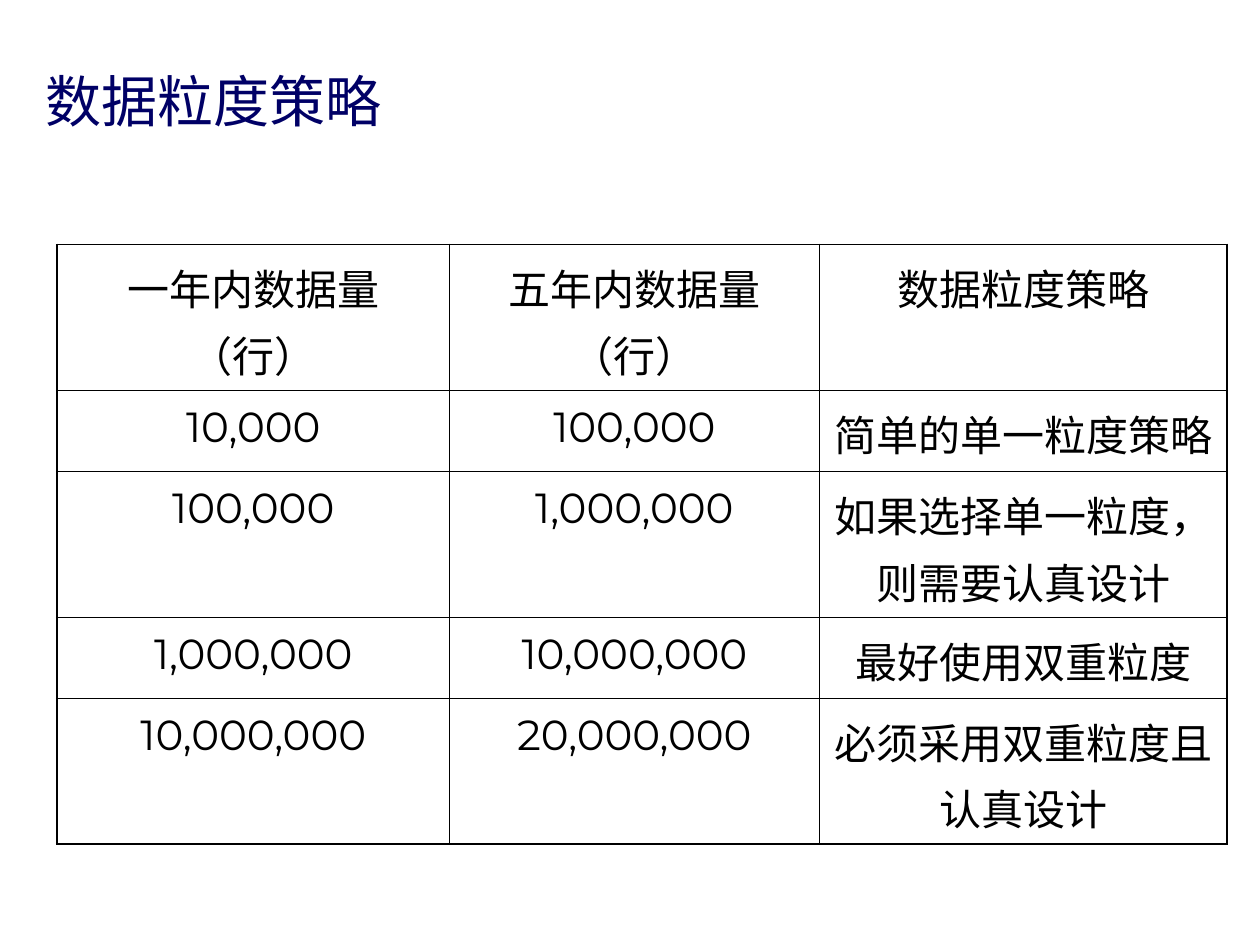
from lxml import etree
from pptx import Presentation
from pptx.dml.color import RGBColor
from pptx.enum.text import MSO_ANCHOR, PP_ALIGN
from pptx.oxml.ns import qn
from pptx.util import Inches, Pt

BOTTOM, TOP = MSO_ANCHOR.BOTTOM, MSO_ANCHOR.TOP
LEFT, CENTER = PP_ALIGN.LEFT, PP_ALIGN.CENTER
NAVY = RGBColor(0x00, 0x00, 0x66)
BLACK = RGBColor(0x00, 0x00, 0x00)
FONT = "Montserrat"
WIDTH, HEIGHT = Inches(10), Inches(7.5)
OUTER, INNER = Pt(1.08), Pt(0.45)

TITLE = "数据粒度策略"
TITLE_BOX = (0.26, 0.53, 9.42, 0.58)
TABLE_BOX = (0.45, 1.94, 9.29, 4.76)
COLUMN_SHARES = (3.12, 2.93, 3.24)
ONE_LINE, TWO_LINES = 0.64, 1.16
ROW_SHARES = (TWO_LINES, ONE_LINE, TWO_LINES, ONE_LINE, TWO_LINES)
ROWS = (
    ("一年内数据量（行）", "五年内数据量（行）", "数据粒度策略"),
    ("10,000", "100,000", "简单的单一粒度策略"),
    ("100,000", "1,000,000", "如果选择单一粒度，则需要认真设计"),
    ("1,000,000", "10,000,000", "最好使用双重粒度"),
    ("10,000,000", "20,000,000", "必须采用双重粒度且认真设计"),
)


def apply(target, values):
    """Set each attribute named in a dict of format values."""
    for name, value in values.items():
        setattr(target, name, value)


def write(frame, text, size, color, **layout):
    """Fill a text frame with one formatted paragraph."""
    para = frame.paragraphs[0]
    apply(para, layout)
    span = para.add_run()
    span.text = text
    apply(span.font, {"name": FONT, "size": Pt(size)})
    span.font.color.rgb = color


def add_title(page, box, text):
    """Place the title at the foot of its box."""
    frame = page.shapes.add_textbox(*map(Inches, box)).text_frame
    apply(frame, {"word_wrap": True, "vertical_anchor": BOTTOM})
    write(frame, text, 32, NAVY, alignment=LEFT)


def add_borders(cell, widths):
    """Draw the four sides of a cell, each with its own width."""
    properties = cell._tc.get_or_add_tcPr()
    for side, width in widths.items():
        line = etree.SubElement(properties, qn(f"a:ln{side}"), w=str(int(width)))
        fill = etree.SubElement(line, qn("a:solidFill"))
        etree.SubElement(fill, qn("a:srgbClr"), val=str(BLACK))


def add_strategy_table(page, box, rows):
    """Place the strategy table, with a heavier frame around thin rules."""
    left, top, width, height = map(Inches, box)
    table = page.shapes.add_table(
        len(rows), len(COLUMN_SHARES), left, top, width, height
    ).table
    apply(table, {"first_row": False, "horz_banding": False})
    for column, share in zip(table.columns, COLUMN_SHARES):
        column.width = int(width * share / sum(COLUMN_SHARES))
    for row, share in zip(table.rows, ROW_SHARES):
        row.height = int(height * share / sum(ROW_SHARES))
    last_row, last_column = len(rows) - 1, len(COLUMN_SHARES) - 1
    for row_index, texts in enumerate(rows):
        for column_index, text in enumerate(texts):
            cell = table.cell(row_index, column_index)
            edges = {
                "L": column_index == 0,
                "R": column_index == last_column,
                "T": row_index == 0,
                "B": row_index == last_row,
            }
            add_borders(
                cell,
                {side: OUTER if edge else INNER for side, edge in edges.items()},
            )
            cell.fill.background()
            cell.vertical_anchor = TOP
            write(
                cell.text_frame, text, 24, BLACK, alignment=CENTER, line_spacing=1.1
            )


def main():
    """Build and save the deck."""
    deck = Presentation()
    apply(deck, {"slide_width": WIDTH, "slide_height": HEIGHT})
    page = deck.slides.add_slide(deck.slide_layouts[6])
    add_title(page, TITLE_BOX, TITLE)
    add_strategy_table(page, TABLE_BOX, ROWS)
    deck.save("out.pptx")


if __name__ == "__main__":
    main()
